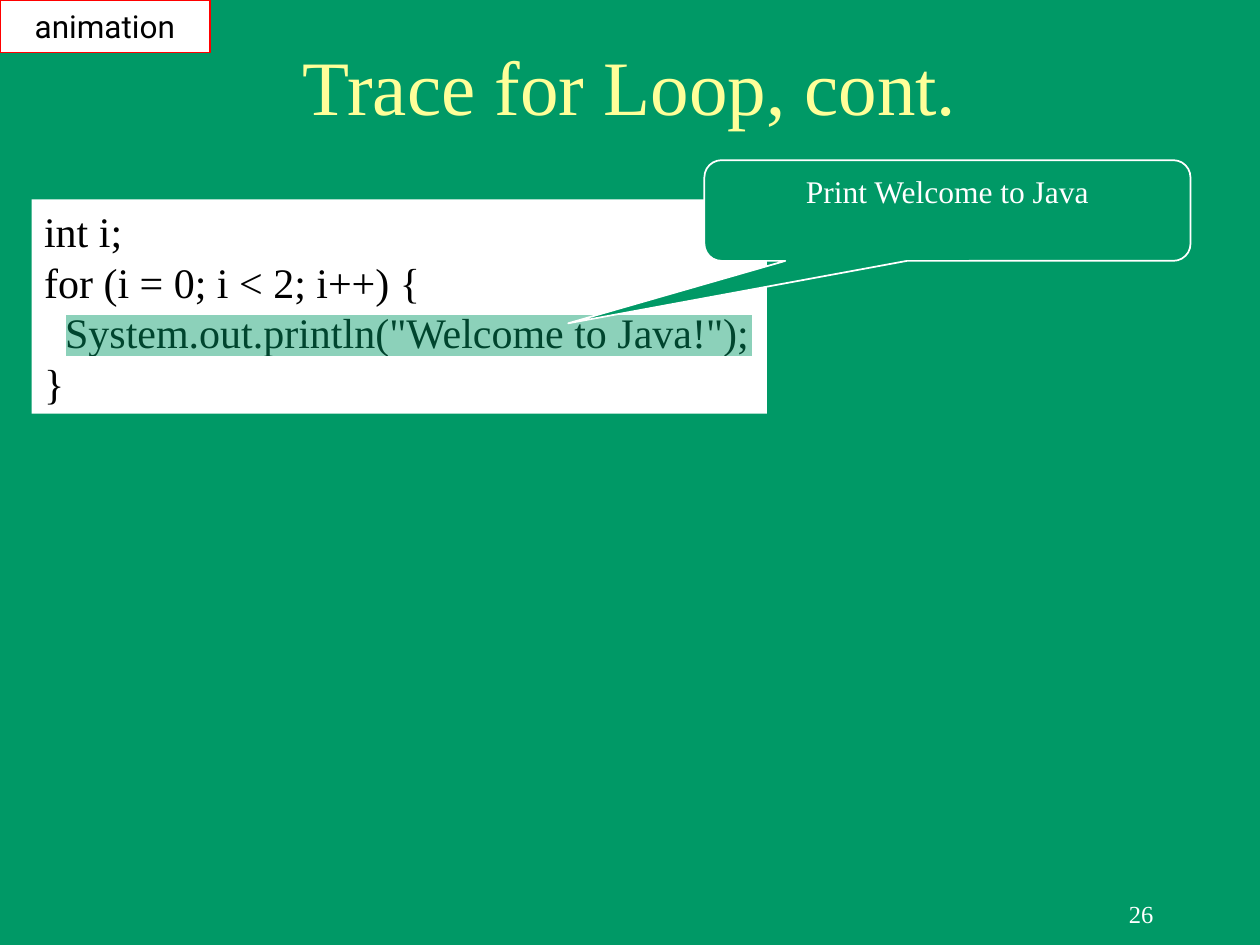
from lxml.etree import SubElement
from pptx import Presentation
from pptx.dml.color import RGBColor
from pptx.enum.shapes import MSO_SHAPE as Shape
from pptx.enum.text import MSO_ANCHOR as Anchor, PP_ALIGN as Align
from pptx.oxml.ns import qn
from pptx.util import Cm, Pt

GREEN, WHITE, BLACK = "009966", "FFFFFF", "000000"
RED, YELLOW = "FF0000", "FFFF99"
SERIF, SANS = "Times New Roman", "Roboto"
CODE = [
    "int i;",
    "for (i = 0; i < 2; i++) {",
    '  System.out.println("Welcome to Java!");',
    "}",
]


def color(hex_code):
    return RGBColor.from_string(hex_code)


def write(shape, lines, size, hex_code, font=SERIF, align=Align.LEFT,
          anchor=Anchor.MIDDLE, spacing=None):
    frame = shape.text_frame
    frame.word_wrap = True
    frame.vertical_anchor = anchor
    frame.margin_left = frame.margin_right = Cm(0.25)
    frame.margin_top = frame.margin_bottom = Cm(0.13)
    for index, line in enumerate(lines):
        para = frame.add_paragraph() if index else frame.paragraphs[0]
        para.alignment = align
        if spacing:
            para.line_spacing = spacing
        span = para.add_run()
        span.text = line
        span.font.name = font
        span.font.size = Pt(size)
        span.font.color.rgb = color(hex_code)


def add_panel(page, kind, box, fill, line=None):
    panel = page.shapes.add_shape(kind, *map(Cm, box))
    panel.shadow.inherit = False
    panel.fill.solid()
    panel.fill.fore_color.rgb = color(fill)
    if line:
        panel.line.color.rgb = color(line)
        panel.line.width = Pt(1)
    else:
        panel.line.fill.background()
    return panel


def add_title(page, box):
    title = page.shapes.title
    title.left, title.top, title.width, title.height = map(Cm, box)
    write(title, ["Trace for Loop, cont."], 44, YELLOW, align=Align.CENTER)


def add_code(page, box):
    left, top, width, height = box
    listing = add_panel(page, Shape.RECTANGLE, box, WHITE)
    write(listing, CODE, 24, BLACK, anchor=Anchor.TOP, spacing=Pt(28.8))

    # Translucent marker over the statement being run
    marker = add_panel(page, Shape.RECTANGLE,
                       (left + 0.67, top + 2.32, width - 0.95, 0.86),
                       GREEN, WHITE)
    tint = marker.fill._xPr.find(qn("a:solidFill"))[0]
    SubElement(tint, qn("a:alpha"), val="45000")


def add_callout(page, box):
    callout = add_panel(page, Shape.ROUNDED_RECTANGULAR_CALLOUT, box,
                        GREEN, WHITE)
    for index, value in enumerate((-0.78, 1.12, 0.17)):
        callout.adjustments[index] = value
    write(callout, ["Print Welcome to Java"], 18, WHITE,
          align=Align.CENTER, anchor=Anchor.TOP)


def add_badge(page, box):
    badge = add_panel(page, Shape.RECTANGLE, box, WHITE, RED)
    write(badge, ["animation"], 18, BLACK, SANS, Align.CENTER)


def add_page_number(page, box):
    number = page.shapes.add_textbox(*map(Cm, box))
    write(number, ["26"], 14, WHITE, align=Align.RIGHT)


def main():
    deck = Presentation()
    deck.slide_width, deck.slide_height = Cm(25.4), Cm(19.05)
    page = deck.slides.add_slide(deck.slide_layouts[5])
    page.background.fill.solid()
    page.background.fill.fore_color.rgb = color(GREEN)

    add_page_number(page, (18.2, 17.78, 5.3, 1.27))
    add_title(page, (1.9, 0.64, 21.6, 2.12))
    add_code(page, (0.64, 4.02, 14.82, 4.32))
    add_callout(page, (14.2, 3.23, 9.8, 2.03))
    add_badge(page, (0, 0, 4.23, 1.06))
    deck.save("out.pptx")


if __name__ == "__main__":
    main()
